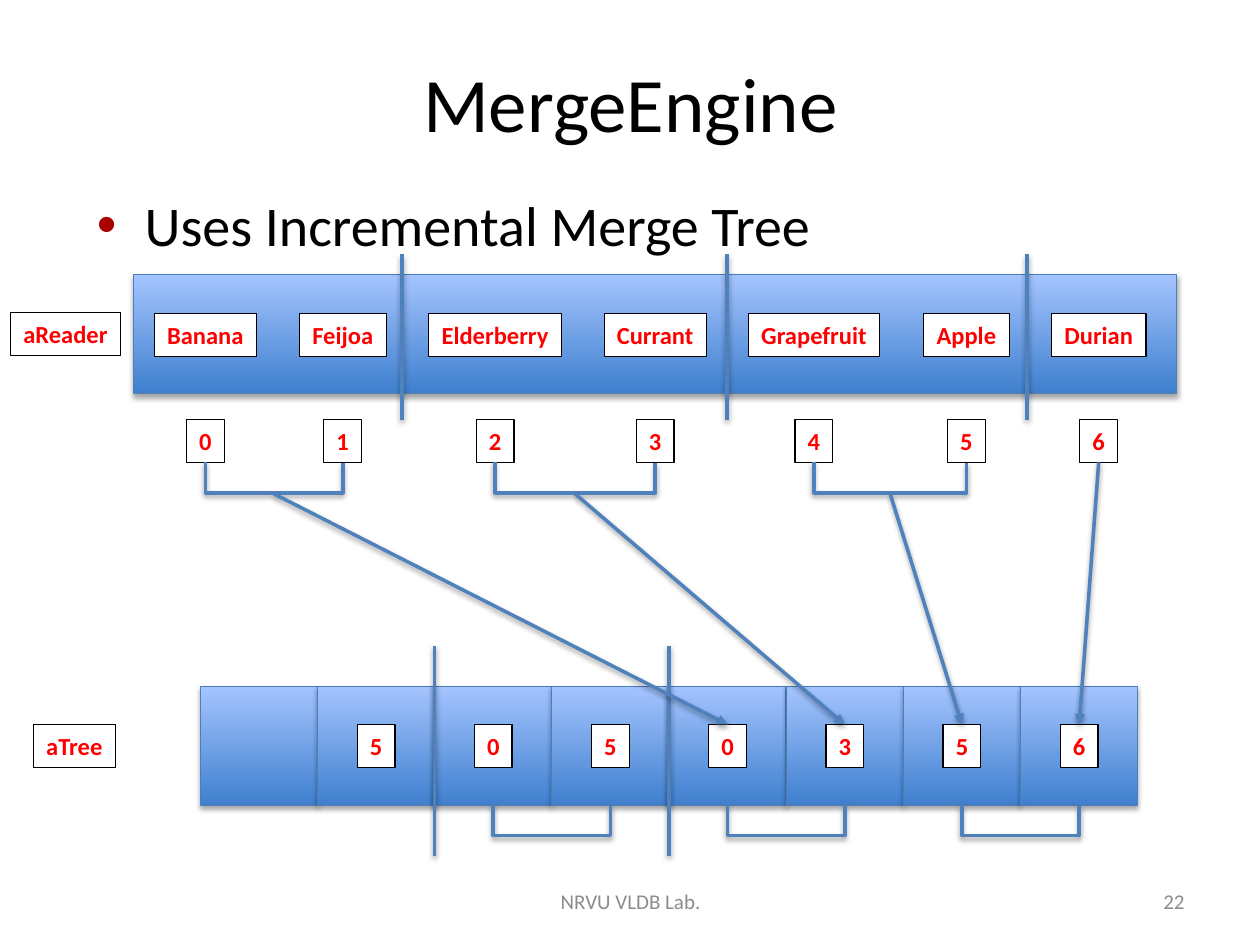
from dataclasses import dataclass

from lxml import etree
from pptx import Presentation
from pptx.dml.color import RGBColor
from pptx.enum import shapes, text
from pptx.oxml.ns import qn
from pptx.util import Inches, Pt


@dataclass(frozen=True)
class Theme:
    """Colours and type sizes of the slide."""
    font: str = "Calibri"
    ink: str = "000000"
    paper: str = "FFFFFF"
    mark: str = "FF0000"
    bullet: str = "AA0000"
    muted: str = "8C8C8C"
    deep: str = "3F80CE"
    pale: str = "A4C4FF"
    edge: str = "4B7EBC"
    line: str = "4F81BD"
    title: int = 44
    body: int = 32
    label: int = 14
    foot: int = 12


T = Theme()
MID, LEFT, RIGHT = (text.PP_ALIGN.CENTER, text.PP_ALIGN.LEFT, text.PP_ALIGN.RIGHT)
LABEL_H, DIGIT_W, DROP = 0.34, 0.3, 0.25


def rgb(code):
    """Turn a hex code into a colour."""
    return RGBColor.from_string(code)


def sub(node, tag, **attrs):
    """Append a drawing element with the given attributes."""
    return etree.SubElement(node, qn("a:" + tag), {k: str(v) for k, v in attrs.items()})


def shade(props, dist, alpha):
    """Put a soft black shadow below a shape or line."""
    for old in props.findall(qn("a:effectLst")):
        props.remove(old)
    glow = sub(sub(props, "effectLst"), "outerShdw", blurRad=Pt(3.1), dist=Pt(dist),
               dir=5400000, rotWithShape=0)
    sub(sub(glow, "srgbClr", val=T.ink), "alpha", val=alpha * 1000)


def write(slide, box, words, size, color, align=MID, anchor=text.MSO_ANCHOR.MIDDLE):
    """Place a text box holding one paragraph; return the shape."""
    shape = slide.shapes.add_textbox(*map(Inches, box))
    frame = shape.text_frame
    frame.word_wrap = True
    frame.vertical_anchor = anchor
    para = frame.paragraphs[0]
    para.text = words
    para.alignment = align
    para.font.name, para.font.size = T.font, Pt(size)
    para.font.color.rgb = rgb(color)
    return shape


def label(slide, mid, top, width, words):
    """Place a framed red label centred on mid."""
    shape = write(slide, (mid - width / 2, top, width, LABEL_H), words,
                  T.label, T.mark, anchor=text.MSO_ANCHOR.TOP)
    shape.fill.solid()
    shape.fill.fore_color.rgb = rgb(T.paper)
    shape.line.color.rgb = rgb(T.ink)
    shape.line.width = Pt(0.75)
    frame = shape.text_frame
    frame.word_wrap = False
    frame.auto_size = text.MSO_AUTO_SIZE.SHAPE_TO_FIT_TEXT
    frame.paragraphs[0].font.bold = True


def block(slide, box):
    """Place a shaded blue block."""
    shape = slide.shapes.add_shape(shapes.MSO_SHAPE.RECTANGLE, *map(Inches, box))
    shape.fill.gradient()
    shape.fill.gradient_angle = 90
    for stop, color in zip(shape.fill.gradient_stops, (T.deep, T.pale)):
        stop.color.rgb = rgb(color)
    shape.line.color.rgb = rgb(T.edge)
    shape.line.width = Pt(0.75)
    shade(shape.element.spPr, 1.8, 35)


def link(slide, start, end, kind=shapes.MSO_CONNECTOR.STRAIGHT, head=False):
    """Join two points with a line, with an arrowhead if asked."""
    wire = slide.shapes.add_connector(kind, *map(Inches, (*start, *end)))
    wire.line.color.rgb = rgb(T.line)
    wire.line.width = Pt(2)
    props = wire.element.spPr
    if head:
        sub(props.find(qn("a:ln")), "tailEnd", type="triangle")
    shade(props, 1.6, 38)
    return wire


def bracket(slide, left, right, top):
    """Join two points on one level by an elbow that hangs below them."""
    thin, span, mid = 0.01, right - left, (left + right) / 2
    wire = link(slide, (mid - thin / 2, top - span / 2),
                (mid + thin / 2, top + span / 2), shapes.MSO_CONNECTOR.ELBOW)
    props = wire.element.spPr
    frame = props.find(qn("a:xfrm"))
    frame.set("rot", "16200000")
    frame.set("flipH", "1")
    geom = props.find(qn("a:prstGeom"))
    for old in list(geom):
        geom.remove(old)
    sub(sub(geom, "avLst"), "gd", name="adj1", fmla=f"val {round(DROP / thin * 100000)}")


def heading(slide, box):
    """Place the title and the bullet line below it."""
    left, top, width, height = box
    write(slide, (left, top, width, 1.02), "MergeEngine", T.title, T.ink)
    body = write(slide, (left, top + 1.16, width, height - 1.16),
                 "Uses Incremental Merge Tree", T.body, T.ink, LEFT, text.MSO_ANCHOR.TOP)
    props = body.text_frame.paragraphs[0]._p.get_or_add_pPr()
    props.set("marL", str(Inches(0.38)))
    props.set("indent", str(Inches(-0.38)))
    sub(sub(props, "buClr"), "srgbClr", val=T.bullet)
    sub(props, "buFont", typeface="Arial")
    sub(props, "buChar", char="\u2022")
    # The run defaults close the paragraph properties.
    props.append(props.find(qn("a:defRPr")))


def footer(slide, box):
    """Place the lab name and the slide number."""
    left, top, width, height = box
    write(slide, (left, top, 3.17, height), "NRVU VLDB Lab.", T.foot, T.muted)
    write(slide, (left + width - 2.33, top, 2.33, height), "22", T.foot, T.muted, RIGHT)


def reader(slide, box):
    """Place the row of words with its index; return index centres and base."""
    left, top, width, height = box
    block(slide, box)
    label(slide, left - 0.54, top + 0.3, 0.87, "aReader")
    words = (("Banana", 0.57, 0.81), ("Feijoa", 1.66, 0.69), ("Elderberry", 2.87, 1.06),
             ("Currant", 4.14, 0.81), ("Grapefruit", 5.4, 1.04),
             ("Apple", 6.61, 0.68), ("Durian", 7.66, 0.75))
    row = top + height + 0.21
    for num, (word, shift, size) in enumerate(words):
        label(slide, left + shift, top + 0.31, size, word)
        label(slide, left + shift, row, DIGIT_W, str(num))
    for shift in (2.13, 4.71, 7.09):
        link(slide, (left + shift, row), (left + shift, top - 0.16))
    return [left + shift for _, shift, _ in words], row + LABEL_H


def tree(slide, box):
    """Place the row of tree cells; return cell centres and label top."""
    left, top, width, height = box
    cells = ("", "5", "0", "5", "0", "3", "5", "6")
    step = width / len(cells)
    mids = [left + step * (i + 0.5) for i in range(len(cells))]
    row = top + 0.3
    for mid in mids:
        block(slide, (mid - step / 2, top, step, height))
    label(slide, left - 1.0, row, 0.65, "aTree")
    for mid, word in zip(mids, cells):
        if word:
            label(slide, mid, row, DIGIT_W, word)
    for i in (2, 4):
        edge = left + i * step
        link(slide, (edge, top - 0.32), (edge, top + height + 0.4))
    for i in (2, 4, 6):
        bracket(slide, mids[i], mids[i + 1], top + height)
    return mids, row


def merge(slide, tops, base, leaves, row):
    """Pair the index labels and point each pair at its leaf."""
    for i, leaf in zip(range(0, len(tops), 2), leaves):
        pair = tops[i:i + 2]
        start = (sum(pair) / len(pair), base)
        if len(pair) == 2:
            bracket(slide, *pair, base)
            start = (start[0], base + DROP)
        link(slide, start, (leaf, row), head=True)


def main():
    """Build and save the slide."""
    deck = Presentation()
    deck.slide_width, deck.slide_height = Inches(10), Inches(7.5)
    slide = deck.slides.add_slide(deck.slide_layouts[6])
    tops, base = reader(slide, (1.06, 2.18, 8.28, 0.94))
    heading(slide, (0.67, 0.3, 8.67, 1.88))
    footer(slide, (3.42, 6.95, 6.08, 0.4))
    mids, row = tree(slide, (1.59, 5.45, 7.44, 0.94))
    merge(slide, tops, base, mids[4:], row)
    deck.save("out.pptx")


main()
